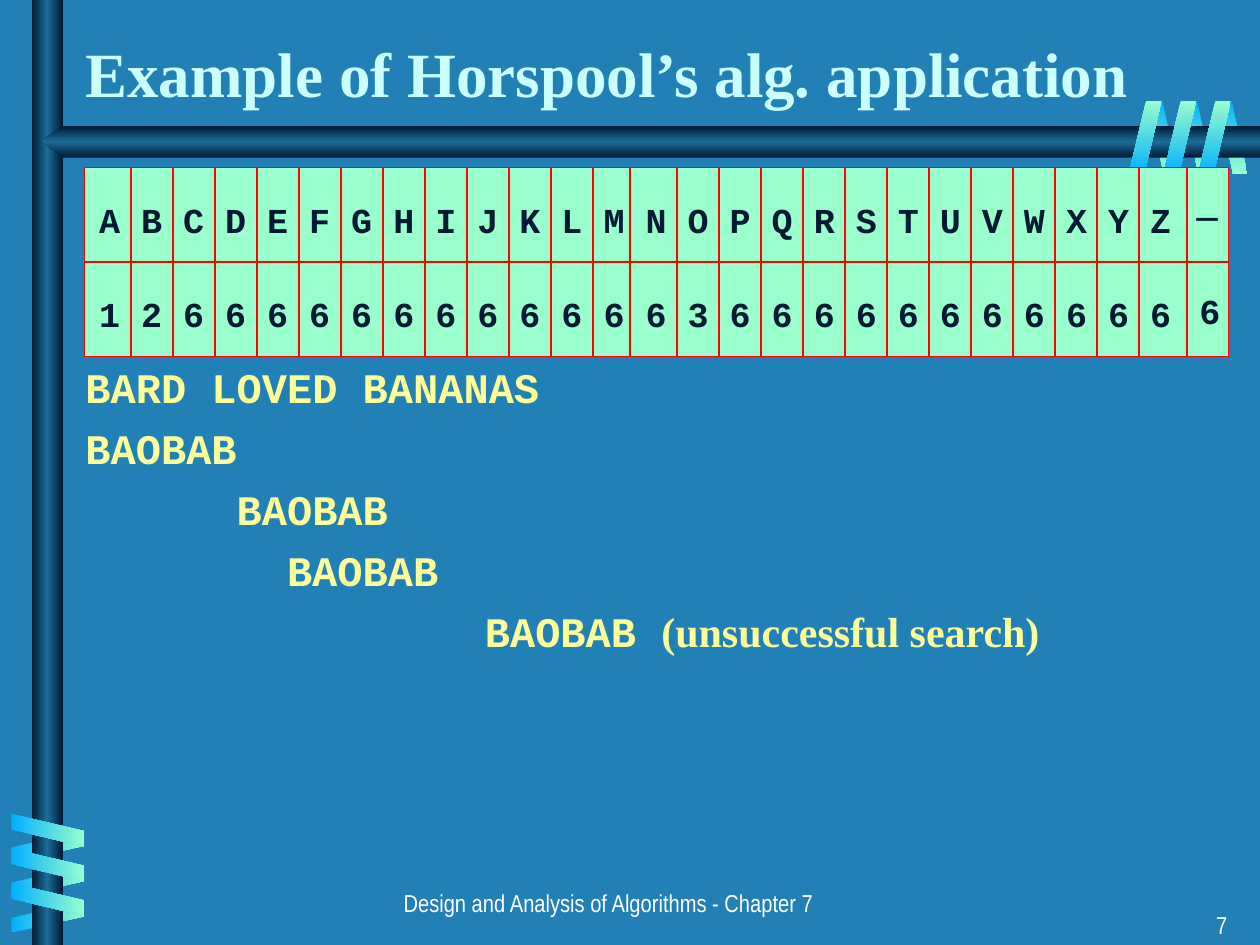
import copy

import lxml.etree
import pptx
import pptx.dml.color
import pptx.enum.shapes
import pptx.enum.text
import pptx.oxml.ns
import pptx.util

Inches = pptx.util.Inches
Pt = pptx.util.Pt
RGBColor = pptx.dml.color.RGBColor
RECTANGLE = pptx.enum.shapes.MSO_SHAPE.RECTANGLE
ALIGN = pptx.enum.text.PP_ALIGN
ANCHOR = pptx.enum.text.MSO_ANCHOR
qn = pptx.oxml.ns.qn

BACKGROUND = RGBColor(0x21, 0x81, 0xB7)
NAVY = RGBColor(0x00, 0x19, 0x32)
STEEL = RGBColor(0x1C, 0x6D, 0x9A)
SKY = RGBColor(0x01, 0xB0, 0xFF)
MINT = RGBColor(0x99, 0xFF, 0xCC)
RED = RGBColor(0xFF, 0x00, 0x00)
PALE_CYAN = RGBColor(0xCC, 0xFF, 0xFF)
YELLOW = RGBColor(0xFF, 0xFF, 0x99)
WHITE = RGBColor(0xFF, 0xFF, 0xFF)

RIGHTWARD, DOWNWARD = 0, 270


def add_run(p, text, size=24, font="Courier New", color=YELLOW, bold=True, align=ALIGN.LEFT):
    p.alignment = align
    r = p.add_run()
    r.text = text
    r.font.size = Pt(size)
    r.font.name = font
    r.font.color.rgb = color
    r.font.bold = bold


def paint_gradient(sp, colors, angle):
    """Fill a shape with evenly spaced colour stops, without outline or shadow."""
    sp.shadow.inherit = False
    sp.line.fill.background()
    sp.fill.gradient()
    sp.fill.gradient_angle = angle
    gs_list = sp._element.spPr.find(".//" + qn("a:gsLst"))
    for _ in colors[2:]:
        gs_list.insert(1, copy.deepcopy(gs_list[0]))
    for i, (stop, color) in enumerate(zip(sp.fill.gradient_stops, colors)):
        stop.color.rgb = color
        stop.position = i / (len(colors) - 1)


prs = pptx.Presentation()
prs.slide_width = Inches(10)
prs.slide_height = Inches(7.5)
s = prs.slides.add_slide(prs.slide_layouts[6])
s.background.fill.solid()
s.background.fill.fore_color.rgb = BACKGROUND

# Ribbon outlines in units of their own width and height
RISING = [(0.53, 0), (1, 0), (0.47, 1), (0, 1)]
FALLING = [(0, 0), (0.47, 0), (1, 1), (0.53, 1)]
CLIMBING = [(0, 0.53), (1, 0), (1, 0.47), (0, 1)]
SINKING = [(0, 0), (1, 0.53), (1, 1), (0, 0.47)]

# The coils wrap the bars: half of the ribbons lie behind, half in front
back_coils = [
    (FALLING, 9.11, 0.8, 0.24, 0.58, 0.275, 0, [SKY, MINT], DOWNWARD),
    (CLIMBING, 0.09, 6.6, 0.58, 0.24, 0, 0.28, [SKY, MINT], RIGHTWARD),
]
front_coils = [
    (SINKING, 0.09, 6.46, 0.58, 0.26, 0, 0.275, [SKY, MINT], RIGHTWARD),
    (RISING, 8.96, 0.8, 0.26, 0.58, 0.275, 0, [MINT, SKY], DOWNWARD),
]
for layer in (back_coils, front_coils):
    if layer is front_coils:
        bar = s.shapes.add_shape(RECTANGLE, Inches(0.25), 0, Inches(0.25), Inches(7.5))
        paint_gradient(bar, [NAVY, STEEL, NAVY], RIGHTWARD)
        fb = s.shapes.build_freeform(Inches(10), Inches(1))
        fb.add_line_segments([(Inches(x), Inches(y)) for x, y in
                              [(0.5, 1), (0.33, 1.12), (0.5, 1.25), (10, 1.25)]])
        paint_gradient(fb.convert_to_shape(), [NAVY, STEEL, NAVY], DOWNWARD)
    for outline, left, top, width, height, dx, dy, colors, angle in layer:
        for i in range(3):
            points = [(Inches(left + i * dx + u * width), Inches(top + i * dy + v * height))
                      for u, v in outline]
            fb = s.shapes.build_freeform(*points[0])
            fb.add_line_segments(points[1:])
            paint_gradient(fb.convert_to_shape(), colors, angle)

# Title
tf = s.shapes.add_textbox(Inches(0.58), Inches(0.17), Inches(9.42), Inches(0.75)).text_frame
tf.word_wrap = True
tf.vertical_anchor = ANCHOR.BOTTOM
add_run(tf.paragraphs[0], "Example of Horspool’s alg. application",
        size=36, font="Times New Roman", color=PALE_CYAN)

# Search trace: each attempt is indented to where the pattern is aligned
tf = s.shapes.add_textbox(Inches(0.58), Inches(1.39), Inches(9.17), Inches(5.36)).text_frame
tf.word_wrap = True
tf.margin_top = Inches(1.48)
trace = [("BARD LOVED BANANAS", 0), ("BAOBAB", 0), ("BAOBAB", 1.2),
         ("BAOBAB", 1.6), ("BAOBAB ", 3.17)]
for i, (text, indent) in enumerate(trace):
    p = tf.add_paragraph() if i else tf.paragraphs[0]
    p._p.get_or_add_pPr().set("marL", str(Inches(indent)))
    if i:
        p.space_before = Pt(6)
    add_run(p, text)
add_run(p, "(unsuccessful search)", font="Times New Roman")

# Shift strip: letters above shifts, with a separate last cell for the blank
letters = "ABCDEFGHIJKLMNOPQRSTUVWXYZ"
shifts = {"A": "1", "B": "2", "O": "3"}
strip = [
    (" ".join(letters), 0.67, 1.33, 8.75, 0.75),
    (" ".join(shifts.get(letter, "6") for letter in letters), 0.67, 2.08, 8.75, 0.75),
    ("", 9.42, 1.33, 0.33, 1.5),
]
for text, left, top, width, height in strip:
    sp = s.shapes.add_shape(RECTANGLE, Inches(left), Inches(top), Inches(width), Inches(height))
    sp.shadow.inherit = False
    sp.fill.solid()
    sp.fill.fore_color.rgb = MINT
    sp.line.color.rgb = RED
    sp.line.width = Pt(1)
    if text:
        tf = sp.text_frame
        tf.word_wrap = False
        tf.vertical_anchor = ANCHOR.MIDDLE
        tf.margin_top = Inches(0.12)
        add_run(tf.paragraphs[0], text, size=20, color=NAVY, align=ALIGN.CENTER)

# The divider between M and N stands slightly left of the even spacing
dividers = [5 if i == 12 else 1.04 + i / 3 for i in range(25)]
rules = [(x, 1.33, x, 2.83) for x in dividers] + [(9.42, 2.08, 9.75, 2.08)]
for ends in rules:
    line = s.shapes.add_connector(pptx.enum.shapes.MSO_CONNECTOR.STRAIGHT,
                                  *[Inches(v) for v in ends])
    line.line.color.rgb = RED
    line.line.width = Pt(1)
    lxml.etree.SubElement(line._element.spPr, qn("a:effectLst"))

# Blank cell, footer and slide number
for text, left, top, width, height, style in [
    ("_", 9.33, 1.33, 0.5, 0.5,
     dict(font="Times New Roman", color=NAVY, align=ALIGN.CENTER)),
    ("6", 9.42, 2.25, 0.33, 0.44, dict(size=20, color=NAVY, align=ALIGN.CENTER)),
    ("Design and Analysis of Algorithms - Chapter 7", 1.33, 7, 7, 0.33,
     dict(size=14, font="Arial Narrow", color=WHITE, bold=False, align=ALIGN.CENTER)),
    ("7", 7.76, 7.17, 2.08, 0.33,
     dict(size=14, font="Arial Narrow", color=WHITE, bold=False, align=ALIGN.RIGHT)),
]:
    tf = s.shapes.add_textbox(Inches(left), Inches(top), Inches(width), Inches(height)).text_frame
    tf.word_wrap = True
    add_run(tf.paragraphs[0], text, **style)

prs.save("out.pptx")
